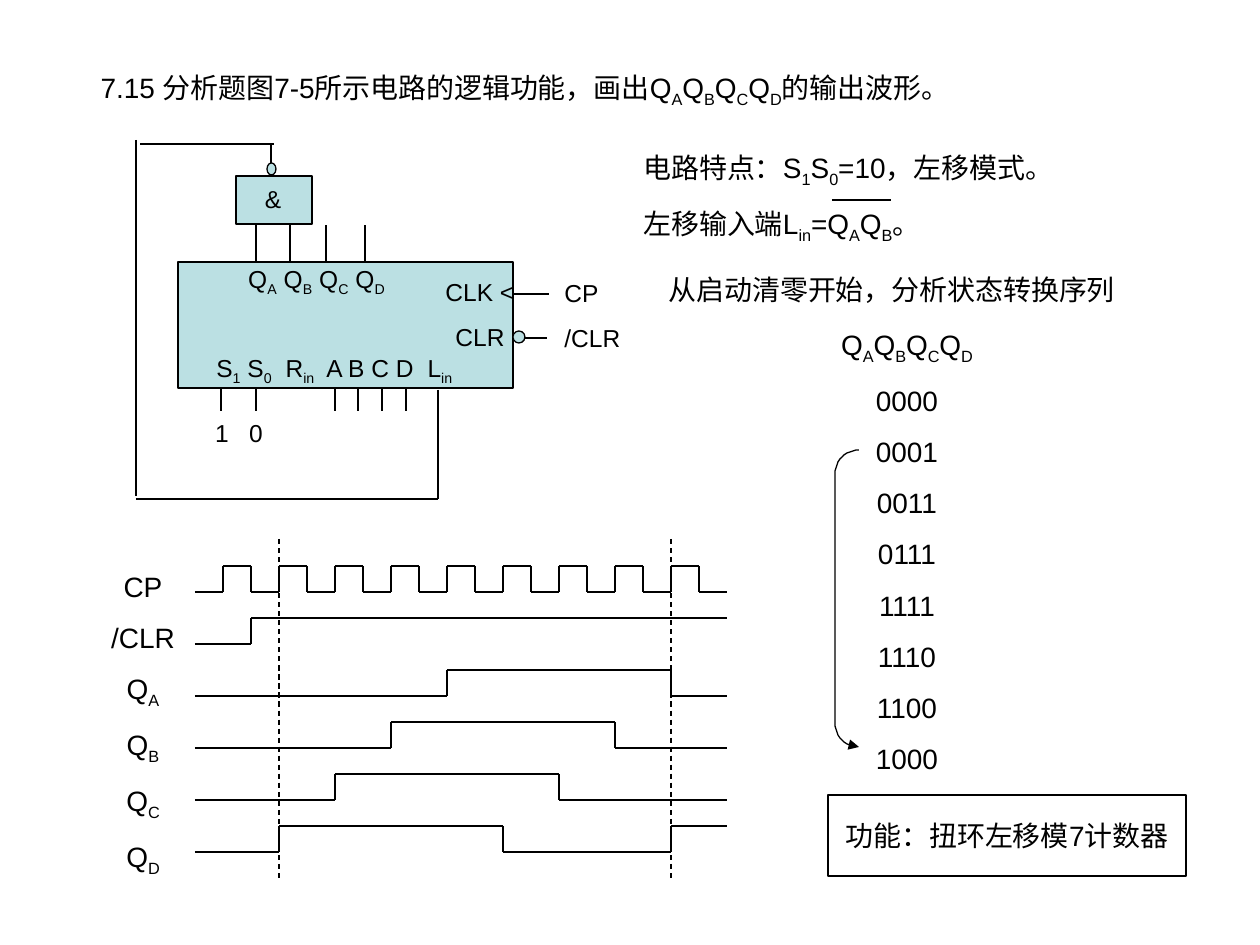
import dataclasses
import itertools
import math

import pptx
import pptx.dml.color
import pptx.enum.dml
import pptx.enum.shapes
import pptx.enum.text
import pptx.oxml
import pptx.oxml.ns
import pptx.util
from lxml import etree

EMU_PER_PX = 914400 / 126
ALIGN = pptx.enum.text.PP_ALIGN
ANCHOR = pptx.enum.text.MSO_ANCHOR
SHAPE = pptx.enum.shapes.MSO_SHAPE


@dataclasses.dataclass(frozen=True)
class Theme:
    """Colours, type and line values of the slide."""
    ink: pptx.dml.color.RGBColor = pptx.dml.color.RGBColor(0, 0, 0)
    block: pptx.dml.color.RGBColor = pptx.dml.color.RGBColor(0xBB, 0xE0, 0xE3)
    font: str = "Arial"
    text: int = 16
    label: int = 14
    gap: float = 0.63
    stroke: float = 0.75


def px(length):
    """Turn pixels into EMU."""
    return int(length * EMU_PER_PX)


def add_xml(parent, tag, **attributes):
    """Append an empty drawing element."""
    return etree.SubElement(parent, pptx.oxml.ns.qn(tag), attributes)


class SlideBuilder:
    """Draw styled elements on the current slide."""

    def __init__(self, slide, theme):
        """Keep the slide and its theme."""
        self.slide = slide
        self.theme = theme

    def fill_text(self, shape, lines, size, align, anchor=ANCHOR.TOP):
        """Fill a shape with lines in which braces mark subscripts."""
        frame = shape.text_frame
        frame_format = {"word_wrap": True, "vertical_anchor": anchor,
                        "auto_size": pptx.enum.text.MSO_AUTO_SIZE.NONE}
        for name, value in frame_format.items():
            setattr(frame, name, value)
        for number, line in enumerate(lines):
            paragraph = frame.add_paragraph() if number else frame.paragraphs[0]
            if shape.is_placeholder:
                properties = paragraph._p.get_or_add_pPr()
                properties.set("marL", "0")
                properties.set("indent", "0")
                add_xml(properties, "a:buNone")
            paragraph.alignment = align
            paragraph.space_before = pptx.util.Pt(size * self.theme.gap if number else 0)
            for index, part in enumerate(line.replace("}", "{").split("{")):
                if part:
                    self.add_run(paragraph, part, size, index % 2)

    def add_run(self, paragraph, words, size, subscript):
        """Add one run, lowered when it is a subscript."""
        run = paragraph.add_run()
        run.text = words
        for name, value in {"name": self.theme.font, "size": pptx.util.Pt(size), "bold": False}.items():
            setattr(run.font, name, value)
        run.font.color.rgb = self.theme.ink
        if subscript:
            run._r.get_or_add_rPr().set("baseline", "-25000")

    def placeholder(self, index, bounds, lines, align):
        """Move and fill a template placeholder."""
        shape = self.slide.placeholders[index]
        for name, value in zip(("left", "top", "width", "height"), bounds):
            setattr(shape, name, px(value))
        self.fill_text(shape, lines, self.theme.text, align)

    def text(self, bounds, lines, size, align=ALIGN.CENTER):
        """Add a text box."""
        self.fill_text(self.slide.shapes.add_textbox(*map(px, bounds)), lines, size, align)

    def outline(self, line):
        """Give a line the theme stroke."""
        line.color.rgb = self.theme.ink
        line.width = pptx.util.Pt(self.theme.stroke)

    def shape(self, kind, bounds, fill=None, lines=()):
        """Add an outlined preset shape."""
        shape = self.slide.shapes.add_shape(kind, *map(px, bounds))
        shape.shadow.inherit = False
        if fill is None:
            shape.fill.background()
        else:
            shape.fill.solid()
            shape.fill.fore_color.rgb = fill
        self.outline(shape.line)
        if lines:
            self.fill_text(shape, lines, self.theme.text, ALIGN.CENTER, ANCHOR.MIDDLE)

    def line(self, x1, y1, x2, y2, dash=None):
        """Add a straight line."""
        connector = self.slide.shapes.add_connector(
            pptx.enum.shapes.MSO_CONNECTOR.STRAIGHT, *map(px, (x1, y1, x2, y2)))
        self.outline(connector.line)
        if dash:
            connector.line.dash_style = dash
        add_xml(connector._element.spPr, "a:effectLst")

    def waveform(self, left, high, step, swing, steps, toggles):
        """Draw a digital signal that starts low and toggles at given steps."""
        low = high + swing
        points = [(left, low)]
        for toggle in toggles:
            x, y = left + toggle * step, points[-1][1]
            points += [(x, y), (x, high + low - y)]
        points.append((left + steps * step, points[-1][1]))
        for start, end in itertools.pairwise(points):
            self.line(*start, *end)

    def return_arrow(self, right, top, bottom, radius):
        """Draw a rounded bracket ending in an arrowhead."""
        angles = [math.radians(90 * number / 12) for number in range(13)]
        upper = [(right - radius * math.sin(a), top + radius * (1 - math.cos(a))) for a in angles]
        points = upper + [(x, top + bottom - y) for x, y in reversed(upper)]
        builder = self.slide.shapes.build_freeform(*points[0], scale=EMU_PER_PX)
        builder.add_line_segments(points[1:], close=False)
        shape = builder.convert_to_shape()
        shape.shadow.inherit = False
        shape.fill.background()
        self.outline(shape.line)
        add_xml(shape._element.spPr.find(pptx.oxml.ns.qn("a:ln")), "a:tailEnd", type="triangle")


def draw_circuit(builder):
    """Draw the shift register, its gate and the feedback path."""
    theme = builder.theme
    builder.shape(SHAPE.RECTANGLE, (178, 262, 335, 126), theme.block)
    builder.shape(SHAPE.RECTANGLE, (236, 176, 76, 48), theme.block)
    builder.shape(SHAPE.OVAL, (513, 331, 12, 12), theme.block)
    builder.shape(SHAPE.OVAL, (267, 163, 9, 12), theme.block)
    for x in (256, 290, 326, 365):
        builder.line(x, 262, x, 225)
    for x in (221, 256, 335, 358, 382, 406):
        builder.line(x, 389, x, 411)
    for wire in ((513, 294, 549, 294), (524, 338, 547, 338), (271, 163, 271, 144),
                 (274, 144, 140, 144), (136, 140, 136, 496), (136, 499, 438, 499),
                 (438, 390, 438, 499)):
        builder.line(*wire)
    for center, top, words in ((244, 347, "S{1} S{0}"), (300, 347, "R{in}"),
                               (370, 347, "A B C D"), (440, 347, "L{in}"),
                               (222, 412, "1"), (256, 412, "0"), (273, 178, "&")):
        builder.text((center - 60, top, 120, 43), [words], theme.label)
    builder.text((212, 258, 209, 47), ["Q{A} Q{B} Q{C} Q{D}"], theme.label)
    builder.text((431, 271, 98, 87), ["CLK <", "CLR"], theme.label)
    builder.text((552, 272, 93, 87), ["CP", "/CLR"], theme.label, ALIGN.LEFT)


def draw_timing(builder):
    """Draw the timing diagram with its signal names."""
    left, top, step, pitch, steps = 195, 566, 28, 52, 19
    signals = {"CP": range(1, steps), "/CLR": [2], "Q{A}": [9, 17],
               "Q{B}": [7, 15], "Q{C}": [5, 13], "Q{D}": [3, 11, 17]}
    for row, toggles in enumerate(signals.values()):
        builder.waveform(left, top + row * pitch, step, pitch // 2, steps, toggles)
    for mark in (3, 17):
        x = left + mark * step
        builder.line(x, 539, x, 879, pptx.enum.dml.MSO_LINE.DASH)
    builder.text((97, 563, 92, 320), list(signals), builder.theme.text)


def main():
    """Build and save the slide."""
    presentation = pptx.Presentation()
    presentation.slide_width, presentation.slide_height = px(1260), px(945)
    slide = presentation.slides.add_slide(presentation.slide_layouts[1])
    builder = SlideBuilder(slide, Theme())
    size = builder.theme.text
    builder.placeholder(0, (88, 64, 1003, 52),
                        ["7.15 分析题图7-5所示电路的逻辑功能，画出Q{A}Q{B}Q{C}Q{D}的输出波形。"], ALIGN.LEFT)
    draw_circuit(builder)
    builder.text((631, 144, 466, 107),
                 ["电路特点：S{1}S{0}=10，左移模式。", "左移输入端L{in}=Q{A}Q{B}。"], size, ALIGN.LEFT)
    builder.line(832, 200, 891, 200)
    builder.text((640, 266, 504, 47), ["从启动清零开始，分析状态转换序列"], size)
    states = ["0000", "0001", "0011", "0111", "1111", "1110", "1100", "1000"]
    builder.placeholder(1, (820, 321, 174, 460), ["Q{A}Q{B}Q{C}Q{D}", *states], ALIGN.CENTER)
    builder.return_arrow(859, 450, 747, 24)
    builder.shape(SHAPE.RECTANGLE, (828, 795, 358, 81), lines=["功能：扭环左移模7计数器"])
    draw_timing(builder)
    presentation.save("out.pptx")


if __name__ == "__main__":
    main()
